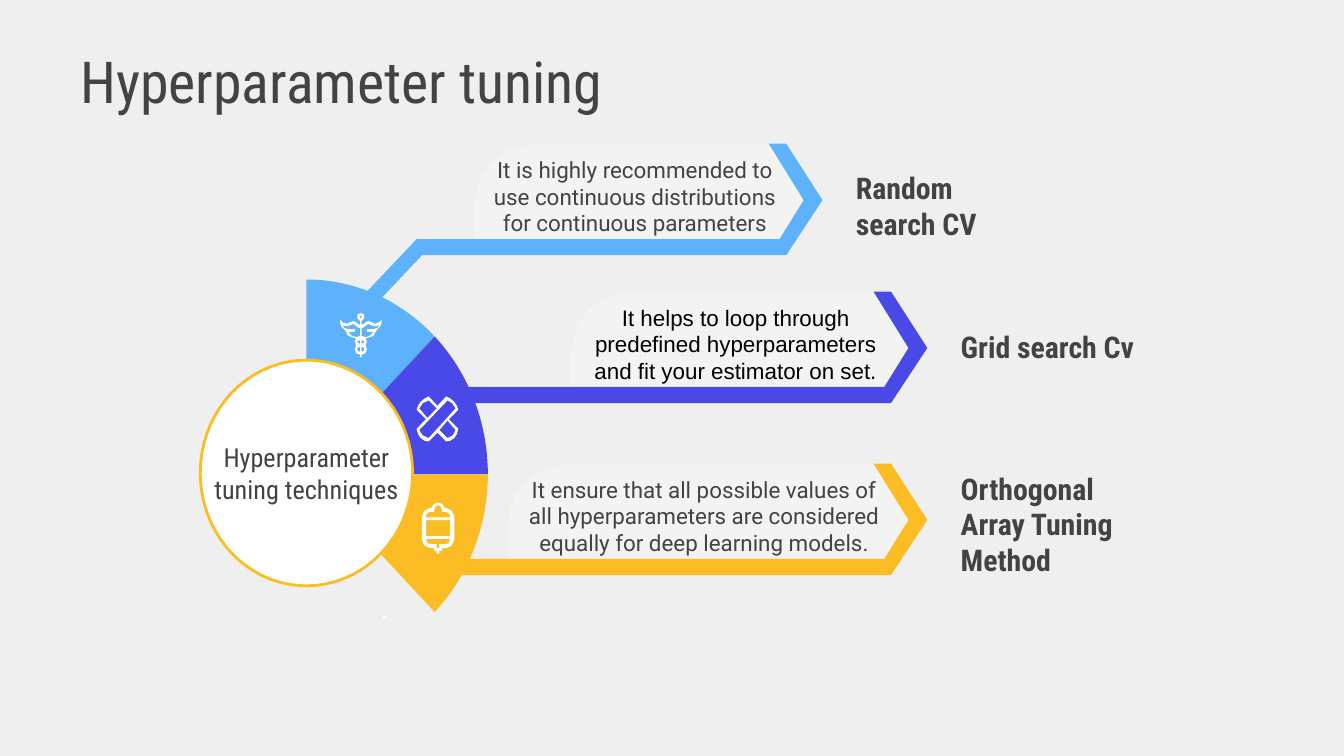
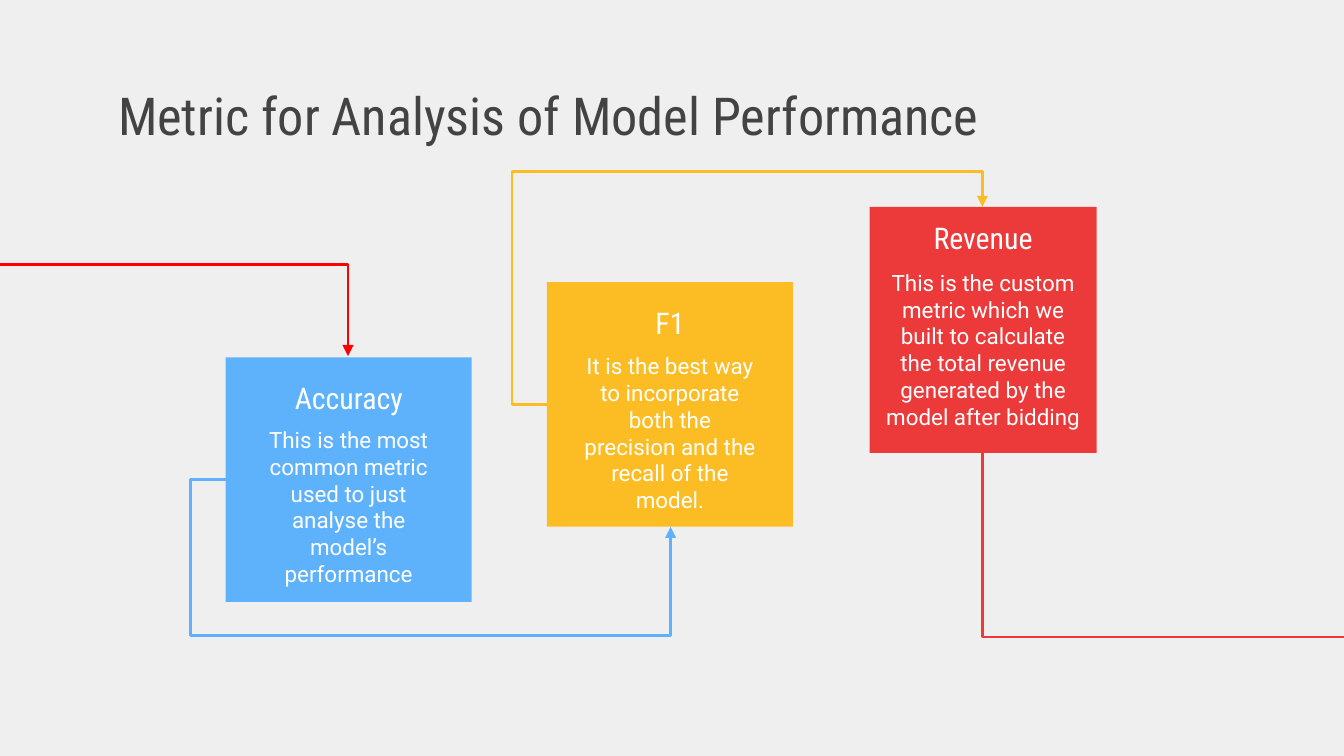
from math import cos, pi, sin

from lxml import etree
from pptx import Presentation
from pptx.dml.color import RGBColor
from pptx.enum.shapes import MSO_CONNECTOR, MSO_SHAPE
from pptx.enum.text import MSO_ANCHOR, PP_ALIGN
from pptx.oxml.ns import qn
from pptx.util import Cm, Pt

RECTANGLE = MSO_SHAPE.RECTANGLE
ELBOW = MSO_CONNECTOR.ELBOW
MIDDLE = MSO_ANCHOR.MIDDLE
LEFT, CENTER = PP_ALIGN.LEFT, PP_ALIGN.CENTER

# Shared look
CONDENSED, BODY, PLAIN = "Roboto Condensed", "Roboto", "Arial"
PAPER, PANEL, INK, WHITE, BLACK = "EFEFEF", "F3F3F3", "434343", "FFFFFF", "000000"
SKY, INDIGO, GOLD, CORAL, RED = "5EB2FC", "4949E7", "FCBD24", "EC3A3B", "FF0000"

# Icons in hundredths of an inch from (axis, top): "halves" are closed by
# their mirror image, "sides" are repeated mirrored, "holes" stand alone
STAFF = {
    "axis": 2.685, "top": 2.33,
    "halves": [
        [(0, 0), (-2.5, 1), (-2.5, 4), (-0.5, 6), (-0.5, 9), (-3.5, 7), (-5.5, 6),
         (-8.5, 7), (-10.5, 8), (-13.5, 7), (-15.5, 5), (-15.5, 7), (-14.5, 10),
         (-11.5, 13), (-9.5, 17), (-3.5, 19), (-4.5, 21), (-3.5, 24), (-4.5, 27),
         (-3.5, 30), (-0.5, 31), (-0.5, 33)],
        [(0, 2), (-1, 3), (0, 4)],
    ],
    "sides": [
        [(-5.5, 8), (-4.5, 9), (-1.5, 11), (-0.5, 11), (-0.5, 17), (-3.5, 18),
         (-6.5, 17), (-9.5, 14), (-4.5, 14), (-4.5, 12), (-9.5, 12), (-12.5, 11),
         (-13.5, 9), (-10.5, 10), (-7.5, 9)],
        [(-0.5, 20), (-0.5, 23), (-2.5, 22), (-2.5, 21)],
        [(-0.5, 25), (-0.5, 29), (-2.5, 28), (-2.5, 26)],
    ],
    "holes": [],
}
BANDAGE = {
    "axis": 3.255, "top": 2.95,
    "halves": [
        [(0, 7), (-6.5, 0), (-9.5, 1.5), (-12.5, 4), (-14.5, 7), (-15.5, 10),
         (-8.5, 17), (-15.5, 24), (-14.5, 28), (-12.5, 31), (-9.5, 33), (-6.5, 33.5),
         (0, 27)],
    ],
    "sides": [],
    "holes": [
        [(-6.5, 3), (-0.5, 9), (-7.5, 16), (-13.5, 9), (-11, 5)],
        [(7.5, 3), (11, 5), (13.5, 9), (-6.5, 31), (-11, 29), (-13.5, 25)],
        [(7.5, 18), (13.5, 25), (11.5, 29), (7.5, 31), (1.5, 25)],
    ],
}
DRIP_BAG = {
    "axis": 3.26, "top": 3.74,
    "halves": [
        [(0, 0), (-3, 1), (-5, 4), (-6, 4), (-10, 6), (-12, 10), (-12, 28), (-10, 32),
         (-6, 34), (-3, 34), (-3, 36), (-1, 36), (-1, 38)],
        [(0, 2), (-2, 3), (-3, 6), (-3, 7), (-6, 7), (-8, 8), (-9, 10), (-9, 11)],
        [(-9, 13), (-9, 25)],
        [(-9, 27), (-8, 30), (-6, 31), (-1, 31), (-1, 34)],
    ],
    "sides": [],
    "holes": [],
}

# Slide 1: angles of each sector are in degrees, counterclockwise from the right
HUB = (2.28, 3.53)
TECHNIQUES = [
    dict(name="Random search CV", name_y=1.26,
         note="It is highly recommended to use continuous distributions "
              "for continuous parameters",
         font=BODY, ink=INK, color=SKY, left=3.53, tip=6.12, top=1.07,
         tail=[(3.1, 1.78), (2.37, 2.55), (2.45, 2.63), (3.14, 1.9)],
         angles=(90, 45), icon=STAFF),
    dict(name="Grid search Cv", name_y=2.31,
         note="It helps to loop through predefined hyperparameters "
              "and fit your estimator on set.",
         font=PLAIN, ink=BLACK, color=INDIGO, left=4.25, tip=6.9, top=2.17,
         tail=[(3.26, 2.88), (3.26, 3)], angles=(45, 0), icon=BANDAGE),
    dict(name="Orthogonal Array Tuning Method", name_y=3.63,
         note="It ensure that all possible values of all hyperparameters "
              "are considered equally for deep learning models.",
         font=BODY, ink=INK, color=GOLD, left=3.78, tip=6.9, top=3.45,
         tail=[(3.26, 4.16), (3.26, 4.28)], angles=(0, -45), icon=DRIP_BAG),
]

# Slide 2: box, heading (offset, width) and body (offset, width) of each metric
METRICS = [
    ("Accuracy", "This is the most common metric used to just analyse the "
                 "model’s performance",
     SKY, (1.68, 2.66, 1.83, 1.82), (0.11, 1.52), (0.77, 1.47)),
    ("F1", "It is the best way to incorporate both the precision and the recall "
           "of the model.",
     GOLD, (4.07, 2.1, 1.83, 1.82), (0.11, 1.52), (0.78, 1.47)),
    ("Revenue", "This is the custom metric which we built to calculate the total "
                "revenue generated by the model after bidding",
     CORAL, (6.47, 1.54, 1.69, 1.83), (0.04, 1.4), (0.72, 1.65)),
]
# Preset, frame before turning, turn, flipped, bends, colour, arrow end
ROUTES = [
    ("bentConnector2", (0.95, 1.01, 0.68, 2.6), 90, True, (), RED, "headEnd"),
    ("bentConnector4", (1.68, 3.57, 3.31, 0.35), 0, False, (-0.08, 3.31), SKY, "tailEnd"),
    ("bentConnector4", (4.07, 1.54, 3.24, 1.47), 180, True, (-0.08, 1.18), GOLD, "tailEnd"),
    ("bentConnector2", (7.97, 2.71, 1.37, 2.69), 270, True, (), CORAL, None),
]


def inches(*values):
    return [Cm(value * 2.54) for value in values]


def rgb(color):
    return RGBColor.from_string(color)


def paint(shape, color, outline=None):
    shape.shadow.inherit = False
    shape.fill.solid()
    shape.fill.fore_color.rgb = rgb(color)
    if outline:
        shape.line.color.rgb = rgb(outline)
        shape.line.width = Pt(1.5)
    else:
        shape.line.fill.background()


def write(shape, text, size, font, color, align=CENTER, bold=False,
          insets=(0.1, 0.1, 0.1, 0.1)):
    frame = shape.text_frame
    frame.word_wrap = True
    frame.vertical_anchor = MIDDLE
    (frame.margin_left, frame.margin_top,
     frame.margin_right, frame.margin_bottom) = inches(*insets)
    paragraph = frame.paragraphs[0]
    paragraph.alignment = align
    run = paragraph.add_run()
    run.text = text
    run.font.size, run.font.name, run.font.bold = Pt(size), font, bold
    run.font.color.rgb = rgb(color)


def label(slide, box, *args, **kwargs):
    write(slide.shapes.add_textbox(*inches(*box)), *args, **kwargs)


def outline_shape(slide, contours, color, outline=None):
    builder = None
    for contour in contours:
        start, *rest = [inches(*point) for point in contour]
        if builder is None:
            builder = slide.shapes.build_freeform(*start, scale=1.0)
        else:
            builder.move_to(*start)
        builder.add_line_segments(rest, close=True)
    shape = builder.convert_to_shape()
    paint(shape, color, outline)
    return shape


def arc(center, radii, start, end, steps=24):
    angles = [(start + (end - start) * i / steps) * pi / 180 for i in range(steps + 1)]
    return [(center[0] + radii[0] * cos(a), center[1] - radii[1] * sin(a))
            for a in angles]


def mirror(points):
    return [(-x, y) for x, y in reversed(points)]


def draw_icon(slide, icon):
    contours = [half + mirror(half) for half in icon["halves"]]
    for side in icon["sides"]:
        contours += [side, mirror(side)]
    contours += icon["holes"]
    placed = [[(icon["axis"] + x / 100, icon["top"] + y / 100) for x, y in contour]
              for contour in contours]
    outline_shape(slide, placed, WHITE)


def draw_technique(slide, item):
    left, tip, top = item["left"], item["tip"], item["top"]
    shoulder, middle, bottom = tip - 0.27, top + 0.42, top + 0.83
    label(slide, (tip + 0.15, item["name_y"], 1.49, 0.54), item["name"],
          16, CONDENSED, INK, LEFT, bold=True)
    # Note panel with one round corner
    corner = arc((left + 0.46, top + 0.47), (0.46, 0.47), 90, 180)
    panel = outline_shape(slide, [corner + [
        (left, bottom), (shoulder, bottom), (tip, middle), (shoulder, top)]], PANEL)
    write(panel, item["note"], 12, item["font"], item["ink"],
          insets=(0.1, 0.1, 0.3, 0.15))
    # Ribbon that ends in a chevron
    outline_shape(slide, [
        [(tip - 0.4, top), (tip - 0.14, middle), (tip - 0.32, top + 0.71)]
        + item["tail"]
        + [(shoulder, bottom), (tip, middle), (shoulder, top)]], item["color"])
    # Sector of the wheel
    outline_shape(slide, [[HUB] + arc(HUB, (1.35, 1.45), *item["angles"])],
                  item["color"])
    draw_icon(slide, item["icon"])


def draw_route(slide, preset, frame, turn, flipped, bends, color, arrow):
    x, y, width, height = frame
    route = slide.shapes.add_connector(ELBOW, *inches(x, y, x + width, y + height))
    route.line.color.rgb = rgb(color)
    route.line.width = Pt(1.5)
    properties = route._element.spPr
    transform = properties.find(qn("a:xfrm"))
    transform.set("rot", str(turn * 60000))
    transform.set("flipH", str(int(flipped)))
    geometry = properties.find(qn("a:prstGeom"))
    geometry.set("prst", preset)
    for number, bend in enumerate(bends, 1):
        etree.SubElement(geometry.find(qn("a:avLst")), qn("a:gd"),
                         name=f"adj{number}", fmla=f"val {round(bend * 100000)}")
    if arrow:
        etree.SubElement(properties.find(qn("a:ln")), qn(f"a:{arrow}"), type="triangle")
    etree.SubElement(properties, qn("a:effectLst"))


def new_slide(deck, title, box, size):
    slide = deck.slides.add_slide(deck.slide_layouts[6])
    slide.background.fill.solid()
    slide.background.fill.fore_color.rgb = rgb(PAPER)
    label(slide, box, title, size, CONDENSED, INK, LEFT)
    return slide


def tuning_slide(deck):
    slide = new_slide(deck, "Hyperparameter tuning", (0.5, 0.29, 9.14, 0.61), 31)
    speck = slide.shapes.add_shape(RECTANGLE, *inches(2.85, 4.58, 0.02, 0.02))
    paint(speck, WHITE)
    for item in TECHNIQUES:
        draw_technique(slide, item)
    hub = outline_shape(slide, [arc((2.28, 3.52), (0.79, 0.84), 0, 355, 71)], WHITE, GOLD)
    write(hub, "Hyperparameter tuning techniques", 14, CONDENSED, INK)


def metrics_slide(deck):
    slide = new_slide(deck, "Metric for Analysis of Model Performance",
                      (0.78, 0.59, 8.45, 0.53), 28)
    for name, body, color, box, heading, detail in METRICS:
        x, y, width, _ = box
        paint(slide.shapes.add_shape(RECTANGLE, *inches(*box)), color)
        for text, (offset, span), height, size, font in (
                (name, heading, 0.38, 16, CONDENSED), (body, detail, 0.68, 12, BODY)):
            label(slide, (x + (width - span) / 2, y + offset, span, height),
                  text, size, font, WHITE)
    for route in ROUTES:
        draw_route(slide, *route)


def main():
    deck = Presentation()
    deck.slide_width, deck.slide_height = Cm(25.4), Cm(14.29)
    tuning_slide(deck)
    metrics_slide(deck)
    deck.save("out.pptx")


if __name__ == "__main__":
    main()
